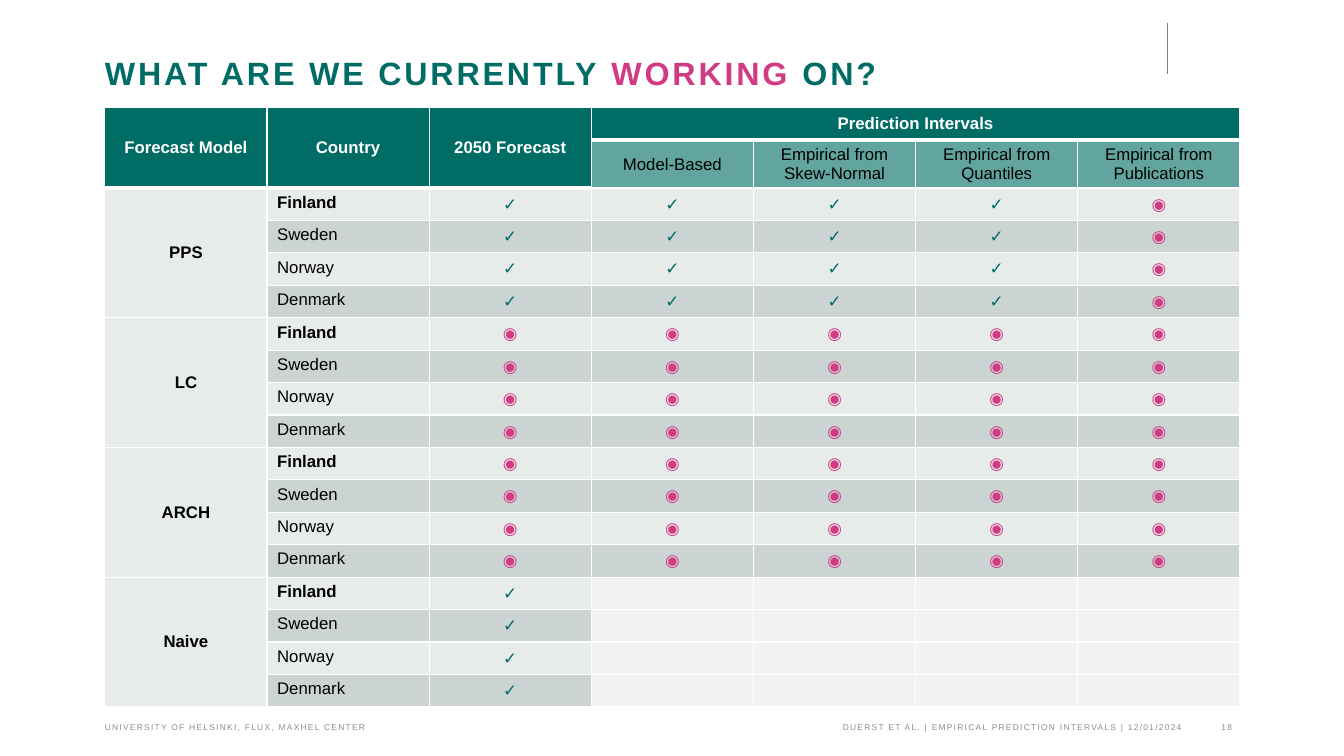
from lxml.etree import SubElement
from pptx import Presentation
from pptx.dml.color import RGBColor
from pptx.enum.shapes import MSO_CONNECTOR as Connector
from pptx.enum.text import MSO_ANCHOR as Anchor, MSO_AUTO_SIZE as AutoSize, PP_ALIGN as Align
from pptx.oxml import parse_xml
from pptx.oxml.ns import nsdecls, qn
from pptx.util import Inches, Pt

GRID = 0.1
LEFT, WIDTH = 10.4, 112.6
TABLE_HEIGHT, SUBHEADER_HEIGHT = 59.4, 4.7

TEAL, PINK, WHITE, BLACK = "006C66", "D23B84", "FFFFFF", "000000"
SUBHEADER, LIGHT, DARK, EMPTY = "62A5A0", "E7EBEA", "CCD4D3", "F2F2F2"

CHECK, DOT = "✓", "◉"
HEADERS = ["Forecast Model", "Country", "2050 Forecast"]
INTERVALS = ["Model-Based", "Empirical from Skew-Normal",
             "Empirical from Quantiles", "Empirical from Publications"]
COUNTRIES = ["Finland", "Sweden", "Norway", "Denmark"]
MODELS = {
    "PPS": CHECK * 4 + DOT,
    "LC": DOT * 5,
    "ARCH": DOT * 5,
    "Naive": CHECK,
}
FIRST_INTERVAL = len(HEADERS)
COLUMNS = FIRST_INTERVAL + len(INTERVALS)
ROWS = 2 + len(MODELS) * len(COUNTRIES)


def color(value):
    return RGBColor.from_string(value)


def units(count):
    return Inches(count * GRID)


def apply(target, values):
    for name, value in values.items():
        setattr(target, name, value)


class SlideBuilder:
    font = "Arial"

    def __init__(self, presentation):
        self.slide = presentation.slides.add_slide(presentation.slide_layouts[5])

    def place(self, shape, left, top, width, height):
        apply(shape, {"left": units(left), "top": units(top),
                      "width": units(width), "height": units(height)})

    def frame(self, shape, values):
        margins = dict.fromkeys(
            ["margin_left", "margin_top", "margin_right", "margin_bottom"], 0)
        apply(shape.text_frame, {**margins, "auto_size": AutoSize.NONE, **values})
        return shape.text_frame.paragraphs[0]

    def run(self, paragraph, text, size, fill, bold=False, spacing=0):
        run = paragraph.add_run()
        run.text = text
        apply(run.font, {"name": self.font, "size": Pt(size), "bold": bold})
        run.font.color.rgb = color(fill)
        if spacing:
            run.font._element.set("spc", str(round(spacing * 100)))

    def title(self, box, parts):
        shape = self.slide.shapes.title
        self.place(shape, *box)
        paragraph = self.frame(shape, {"vertical_anchor": Anchor.TOP, "word_wrap": True})
        apply(paragraph, {"alignment": Align.LEFT, "line_spacing": Pt(26),
                          "space_before": Pt(0), "space_after": Pt(18)})
        for text, fill in parts:
            self.run(paragraph, text, 23, fill, True, 2)

    def line(self, start, end, fill, width):
        points = [units(value) for value in (*start, *end)]
        connector = self.slide.shapes.add_connector(Connector.STRAIGHT, *points)
        connector.line.color.rgb = color(fill)
        connector.line.width = Pt(width)
        SubElement(connector._element.spPr, qn("a:effectLst"))

    def footer(self, box, texts, tabs):
        shape = self.slide.shapes.add_textbox(0, 0, 0, 0)
        self.place(shape, *box)
        paragraph = self.frame(shape, {"vertical_anchor": Anchor.BOTTOM, "word_wrap": False})
        paragraph.alignment = Align.LEFT
        tab_list = SubElement(paragraph._p.get_or_add_pPr(), qn("a:tabLst"))
        for position in tabs:
            SubElement(tab_list, qn("a:tab"), pos=str(units(position)), algn="r")
        self.run(paragraph, "\t".join(texts), 6, "8C8C8C", spacing=0.9)

    def table(self, box, heights):
        left, top, width, height = map(units, box)
        frame = self.slide.shapes.add_table(len(heights), COLUMNS, left, top, width, height)
        apply(frame.table, {"first_row": False, "horz_banding": False})
        for row, row_height in zip(frame.table.rows, heights):
            row.height = units(row_height)
        for column in frame.table.columns:
            column.width = units(box[2] / COLUMNS)
        return frame.table

    def borders(self, cell, top, bottom):
        widths = {"lnL": 1, "lnR": 1, "lnT": top, "lnB": bottom}
        for index, (tag, width) in enumerate(widths.items()):
            border = parse_xml(
                f'<a:{tag} {nsdecls("a")} w="{Pt(width)}"><a:solidFill>'
                f'<a:srgbClr val="{WHITE}"/></a:solidFill></a:{tag}>')
            cell._tc.get_or_add_tcPr().insert(index, border)

    def cell(self, cell, text, fill, ink=BLACK, bold=False,
             align=Align.CENTER, anchor=Anchor.MIDDLE):
        cell.fill.solid()
        cell.fill.fore_color.rgb = color(fill)
        cell.vertical_anchor = anchor
        paragraph = cell.text_frame.paragraphs[0]
        paragraph.alignment = align
        if text:
            self.run(paragraph, text, 12, ink, bold)
        else:
            SubElement(paragraph._p, qn("a:endParaRPr"), sz="1200")


def cell_values(row, column):
    if row < 2:
        if row == 1 and column >= FIRST_INTERVAL:
            return {"text": INTERVALS[column - FIRST_INTERVAL], "fill": SUBHEADER}
        labels = HEADERS + ["Prediction Intervals"]
        text = labels[column] if row == 0 and column < len(labels) else ""
        return {"text": text, "fill": TEAL, "ink": WHITE, "bold": True}
    group, member = divmod(row - 2, len(COUNTRIES))
    model, marks = list(MODELS.items())[group]
    band = DARK if member % 2 else LIGHT
    if column == 0:
        return {"text": "" if member else model, "fill": LIGHT, "bold": True}
    if column == 1:
        return {"text": COUNTRIES[member], "fill": band, "bold": member == 0,
                "align": Align.LEFT, "anchor": Anchor.TOP}
    mark = marks[column - 2:column - 1]
    return {"text": mark, "fill": band if mark else EMPTY,
            "ink": TEAL if mark == CHECK else PINK, "bold": True}


def fill_forecast_table(builder):
    row_height = (TABLE_HEIGHT - SUBHEADER_HEIGHT) / (ROWS - 1)
    heights = [row_height] * ROWS
    heights[1] = SUBHEADER_HEIGHT
    table = builder.table((LEFT, 10.7, WIDTH, TABLE_HEIGHT), heights)
    for row in range(ROWS):
        for column in range(COLUMNS):
            header_end = 1 if column < FIRST_INTERVAL else 0
            cell = table.cell(row, column)
            builder.cell(cell, **cell_values(row, column))
            builder.borders(cell, 3 if row == header_end + 1 else 1,
                            3 if row <= header_end else 1)
    for column in range(FIRST_INTERVAL):
        table.cell(0, column).merge(table.cell(1, column))
    table.cell(0, FIRST_INTERVAL).merge(table.cell(0, COLUMNS - 1))
    for row in range(2, ROWS, len(COUNTRIES)):
        table.cell(row, 0).merge(table.cell(row + len(COUNTRIES) - 1, 0))


def main():
    presentation = Presentation()
    apply(presentation, {"slide_width": Inches(13.33), "slide_height": Inches(7.5)})
    builder = SlideBuilder(presentation)
    builder.title((LEFT, 5.5, WIDTH, 14),
                  [("WHAT ARE WE CURRENTLY ", TEAL), ("WORKING", PINK), (" ON?", TEAL)])
    builder.line((115.8, 2.3), (115.8, 7.3), "7D7A7A", 0.5)
    fill_forecast_table(builder)
    builder.footer((LEFT, 70.6, WIDTH, 2),
                   ["UNIVERSITY OF HELSINKI, FLUX, MAXHEL CENTER",
                    "DUERST ET AL. | EMPIRICAL PREDICTION INTERVALS | 12/01/2024", "18"],
                   [106.9, 111.8])
    presentation.save("out.pptx")


if __name__ == "__main__":
    main()
